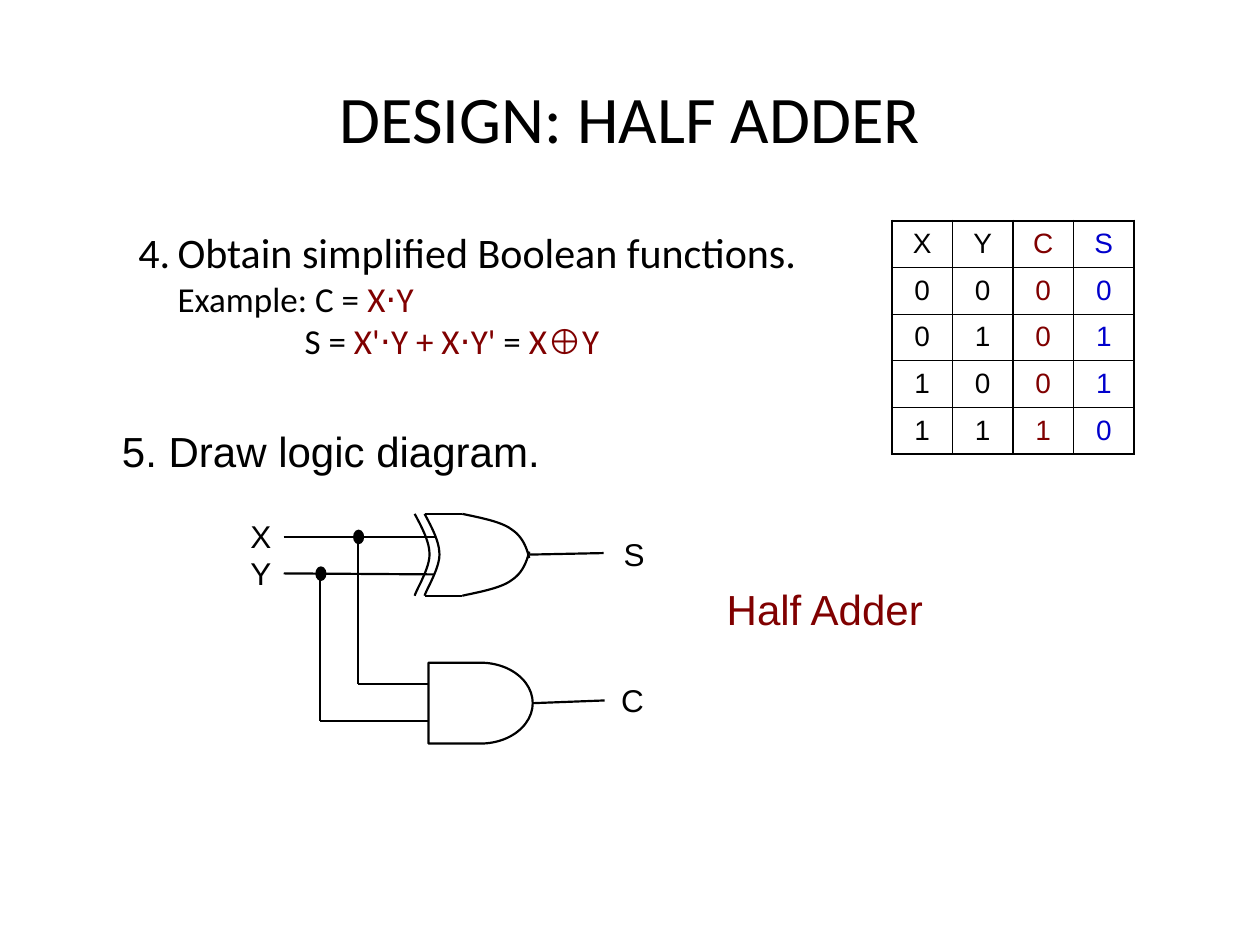
from dataclasses import dataclass

from lxml import etree
from pptx import Presentation, util as u
from pptx.dml.color import RGBColor
from pptx.enum import shapes, text
from pptx.oxml import ns


@dataclass(frozen=True)
class Theme:
    ink: str = "000000"
    carry: str = "800000"
    total: str = "0000CC"
    heading_font: str = "Calibri"
    body_font: str = "Arial"
    title: int = 38
    step: int = 24
    example: int = 20
    label: int = 18
    cell: int = 16
    wire: float = 1.25


THEME = Theme()
LEFT, RIGHT = 1, 3  # connection sites


def cm(*lengths):
    return [u.Cm(length) for length in lengths]


def set_all(target, values):
    for name, value in values.items():
        setattr(target, name, value)


def add_span(para, words, size, font=THEME.body_font, color=THEME.ink):
    span = para.add_run()
    span.text = words
    set_all(span.font, {"size": u.Pt(size), "name": font})
    span.font.color.rgb = RGBColor.from_string(color)


def indent(para, margin, first=0):
    properties = para._p.get_or_add_pPr()
    properties.set("marL", str(u.Cm(margin)))
    properties.set("indent", str(u.Cm(first)))


def add_frame(parent, box, anchor=text.MSO_ANCHOR.TOP):
    frame = parent.shapes.add_textbox(*cm(*box)).text_frame
    set_all(frame, {"word_wrap": True, "vertical_anchor": anchor})
    return frame


def add_title(page, box):
    para = add_frame(page, box, text.MSO_ANCHOR.MIDDLE).paragraphs[0]
    para.alignment = text.PP_ALIGN.CENTER
    add_span(para, "DESIGN: HALF ADDER", THEME.title, THEME.heading_font)


def add_functions(page, box):
    """Step 4, with the formulas for carry and sum."""
    ink, red = THEME.ink, THEME.carry
    lines = [
        (2.06, -0.79, THEME.step, [("4.\tObtain simplified Boolean functions.", ink)]),
        (2.06, 0, THEME.example, [("Example: C = ", ink), ("X⋅Y", red)]),
        (4.62, 0, THEME.example, [("S = ", ink), ("X'⋅Y + X⋅Y'", red),
                                  (" = ", ink), ("X⊕Y", red)]),
    ]
    frame = add_frame(page, box)
    for number, (margin, first, size, parts) in enumerate(lines):
        para = frame.add_paragraph() if number else frame.paragraphs[0]
        indent(para, margin, first)
        for words, color in parts:
            for piece in words.replace("⋅", "|⋅|").replace("⊕", "|⊕|").split("|"):
                font = THEME.body_font if piece in "⋅⊕" else THEME.heading_font
                add_span(para, piece, size, font, color)


def set_borders(cell, widths):
    """Draw the cell's edges; widths are points for left, right, top, bottom."""
    properties = cell._tc.get_or_add_tcPr()
    for place, (side, width) in enumerate(zip("LRTB", widths)):
        edge = etree.Element(ns.qn(f"a:ln{side}"), w=str(u.Pt(width)))
        fill = etree.SubElement(edge, ns.qn("a:solidFill"))
        etree.SubElement(fill, ns.qn("a:srgbClr"), val=THEME.ink)
        properties.insert(place, edge)


def add_truth_table(page, box):
    rows = ["XYCS", "0000", "0101", "1001", "1110"]
    colors = [THEME.ink, THEME.ink, THEME.carry, THEME.total]
    upright = [1.47, 0.45, 0.75, 0.45, 1.47]
    level = [1.47, 0.75, 0.45, 0.45, 0.45, 1.47]
    table = page.shapes.add_table(len(rows), len(colors), *cm(*box)).table
    set_all(table, {"first_row": False, "horz_banding": False})
    for r, row in enumerate(rows):
        for c, value in enumerate(row):
            cell = table.cell(r, c)
            cell.fill.background()
            cell.vertical_anchor = text.MSO_ANCHOR.MIDDLE
            para = cell.text_frame.paragraphs[0]
            para.alignment = text.PP_ALIGN.CENTER
            add_span(para, value, THEME.cell, color=colors[c])
            set_borders(cell, upright[c:c + 2] + level[r:r + 2])


def add_step(page, box):
    para = add_frame(page, box).paragraphs[0]
    indent(para, 1.85, -0.91)
    add_span(para, "5. Draw logic diagram.", THEME.step)


def add_caption(page, box):
    add_span(add_frame(page, box).paragraphs[0], "Half Adder", THEME.step,
             color=THEME.carry)


def draw_line(item):
    item.line.color.rgb = RGBColor.from_string(THEME.ink)
    item.line.width = u.Pt(THEME.wire)


def bezier(points, steps=12):
    """Points along a chain of cubic curves that share their end points."""
    track = [points[0]]
    for k in range(0, len(points) - 1, 3):
        for t in (step / steps for step in range(1, steps + 1)):
            weights = ((1 - t) ** 3, 3 * t * (1 - t) ** 2, 3 * t * t * (1 - t), t ** 3)
            track.append(tuple(sum(w * p[axis] for w, p in zip(weights, points[k:k + 4]))
                               for axis in (0, 1)))
    return track


def add_diagram(page, box):
    left, top = box
    group = page.shapes.add_group_shape()

    def at(x, y):
        return cm(left + x, top + y)

    def add_wire(start, end):
        wire = group.shapes.add_connector(shapes.MSO_CONNECTOR.STRAIGHT,
                                          *at(*start), *at(*end))
        draw_line(wire)
        etree.SubElement(wire._element.spPr, ns.qn("a:effectLst"))
        return wire

    def add_preset(kind, x, y, width, height):
        item = group.shapes.add_shape(kind, *at(x, y), *cm(width, height))
        item.shadow.inherit = False
        draw_line(item)
        return item

    def add_curve(points):
        track = [at(*point) for point in bezier(points)]
        builder = group.shapes.build_freeform(*track[0])
        builder.add_line_segments(track[1:], close=False)
        curve = builder.convert_to_shape()
        curve.shadow.inherit = False
        curve.fill.background()
        draw_line(curve)

    and_gate = add_preset(shapes.MSO_SHAPE.FLOWCHART_DELAY, 3.84, 3.07, 2.1, 1.63)
    and_gate.fill.background()

    x_tap, y_tap, x_in, y_in = 2.41, 1.65, 0.53, 1.27
    for start, end in [((0.92, x_in), (3.96, x_in)), ((0.92, y_in), (3.96, 1.29)),
                       ((5.87, 0.89), (7.37, 0.86)),
                       ((x_tap, x_in), (x_tap, 3.5)), ((x_tap, 3.5), (3.84, 3.5)),
                       ((y_tap, y_in), (y_tap, 4.24)), ((y_tap, 4.24), (3.84, 4.24))]:
        add_wire(start, end)
    add_wire((5.94, 3.88), (7.39, 3.83)).begin_connect(and_gate, RIGHT)

    for x, y in [(y_tap, y_in), (x_tap, x_in)]:
        dot = add_preset(shapes.MSO_SHAPE.OVAL, x - 0.07, y - 0.12, 0.18, 0.25)
        dot.fill.solid()
        dot.fill.fore_color.rgb = RGBColor.from_string(THEME.ink)

    upper, lower = 0.07, 1.72
    back = [(3.76, upper), (3.91, 0.35), (4.06, 0.63), (4.06, 0.89),
            (4.06, 1.17), (3.81, 1.57), (3.76, lower)]
    nose = [(4.52, upper), (4.9, 0.15), (5.31, 0.23), (5.51, 0.38),
            (5.74, 0.53), (5.82, 0.76), (5.87, 0.96)]
    add_curve(back)
    add_curve([(x - 0.2, y) for x, y in back])
    add_curve(nose)
    add_curve([(x, upper + lower - y) for x, y in nose])
    for y in (upper, lower):
        add_wire((3.76, y), (4.52, y))

    for names, x, y, height in [("XY", 0, 0, 1.4), ("S", 7.52, 0.38, 0.89),
                                ("C", 7.47, 3.32, 0.89)]:
        frame = add_frame(group, (left + x, top + y, 1.02, height))
        for number, name in enumerate(names):
            para = frame.add_paragraph() if number else frame.paragraphs[0]
            add_span(para, name, THEME.label)


def main():
    deck = Presentation()
    set_all(deck, {"slide_width": u.Cm(25.4), "slide_height": u.Cm(19.05)})
    page = deck.slides.add_slide(deck.slide_layouts[6])
    add_title(page, (1.27, 0.76, 22.86, 3.18))
    add_functions(page, (1.27, 4.45, 22.86, 3.6))
    add_truth_table(page, (17.98, 4.45, 4.88, 4.7))
    add_step(page, (1.27, 8.46, 22.86, 1.9))
    add_diagram(page, (4.8, 10.29))
    add_caption(page, (14.4, 11.63, 4.88, 1.27))
    deck.save("out.pptx")


if __name__ == "__main__":
    main()
